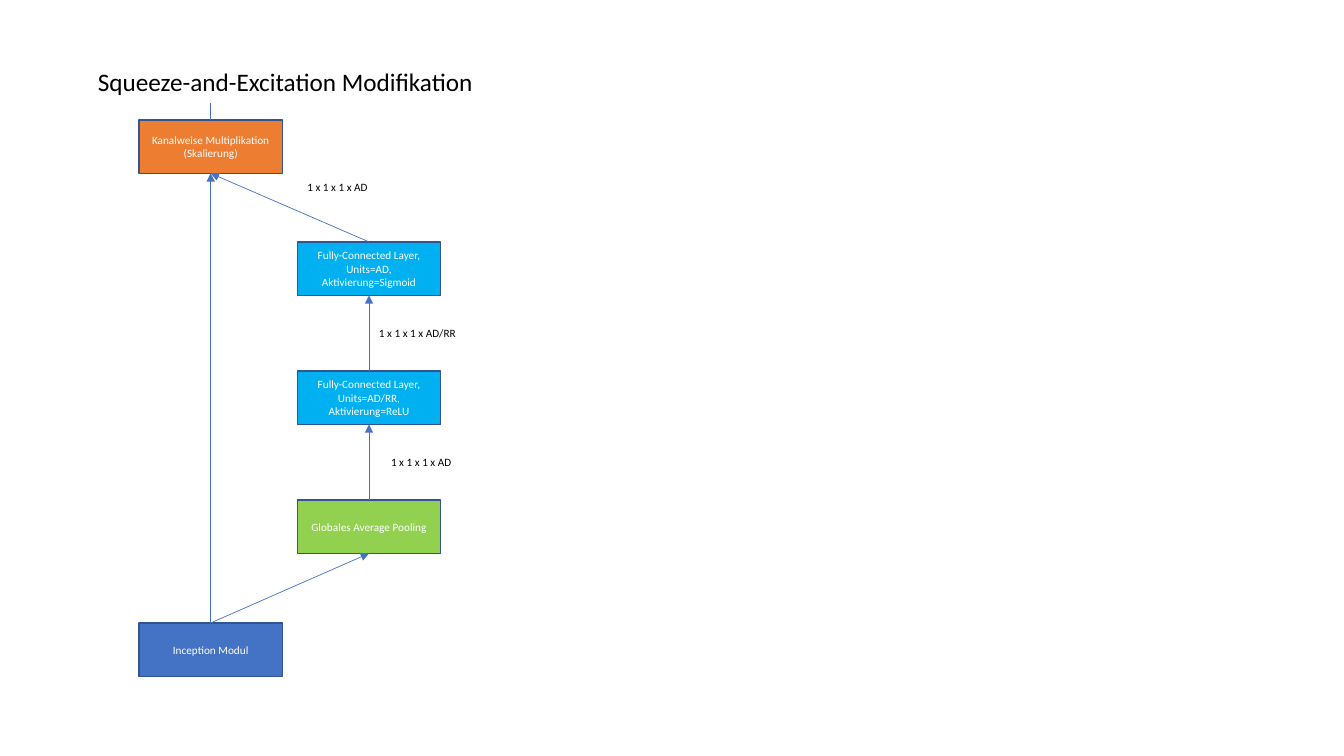
import pptx
import pptx.dml.color
import pptx.enum.shapes
import pptx.enum.text
import pptx.oxml.ns
import pptx.util
import lxml.etree

Inches = pptx.util.Inches
Pt = pptx.util.Pt

FONT = "Calibri"
COLORS = {
    "text": "000000",
    "block_text": "FFFFFF",
    "outline": "325491",
    "arrow": "4472C4",
    "inception": "4472C4",
    "pooling": "92D050",
    "dense": "00B0F0",
    "scaling": "ED7D31",
}
BLOCK_WIDTH, BLOCK_HEIGHT = 1.42, 0.53
MAIN_LEFT, BRANCH_LEFT = 1.38, 2.95
SCALING_TOP, INCEPTION_TOP = 1.19, 6.18
BRANCH_TOP, BRANCH_STEP = 2.4, 1.28
TOP_SITE, BOTTOM_SITE = 0, 2


def rgb(name):
    """Return the named palette colour."""
    return pptx.dml.color.RGBColor.from_string(COLORS[name])


def write_text(frame, lines, size, color, align):
    """Fill a text frame with one formatted paragraph per line."""
    frame.text = "\n".join(lines)
    for paragraph in frame.paragraphs:
        paragraph.alignment = align
        paragraph.font.name = FONT
        paragraph.font.size = Pt(size)
        paragraph.font.color.rgb = rgb(color)


def set_title(slide, text):
    """Move and format the title placeholder."""
    title = slide.shapes.title
    title.left, title.top = Inches(0.87), Inches(0.61)
    title.width, title.height = Inches(3.96), Inches(0.4)
    frame = title.text_frame
    write_text(frame, [text], 18, "text", pptx.enum.text.PP_ALIGN.LEFT)
    frame.word_wrap = False
    frame.auto_size = pptx.enum.text.MSO_AUTO_SIZE.NONE
    frame.vertical_anchor = pptx.enum.text.MSO_ANCHOR.MIDDLE


def add_block(slide, left, top, fill, *lines):
    """Add one network block with centred text."""
    block = slide.shapes.add_shape(
        pptx.enum.shapes.MSO_SHAPE.RECTANGLE,
        Inches(left), Inches(top), Inches(BLOCK_WIDTH), Inches(BLOCK_HEIGHT))
    block.shadow.inherit = False
    block.fill.solid()
    block.fill.fore_color.rgb = rgb(fill)
    block.line.color.rgb = rgb("outline")
    block.line.width = Pt(1)
    frame = block.text_frame
    frame.word_wrap = True
    frame.vertical_anchor = pptx.enum.text.MSO_ANCHOR.MIDDLE
    write_text(frame, lines, 8, "block_text", pptx.enum.text.PP_ALIGN.CENTER)
    return block


def add_line(slide, source, target=None, end=(0, 0)):
    """Run a line up from a block: an arrow to a target, or plain to a point."""
    line = slide.shapes.add_connector(
        pptx.enum.shapes.MSO_CONNECTOR.STRAIGHT,
        0, 0, Inches(end[0]), Inches(end[1]))
    line.begin_connect(source, TOP_SITE)
    line.line.color.rgb = rgb("arrow")
    line.line.width = Pt(0.5)
    qn = pptx.oxml.ns.qn
    if target is not None:
        line.end_connect(target, BOTTOM_SITE)
        outline = line.line._get_or_add_ln()
        lxml.etree.SubElement(outline, qn("a:tailEnd"), type="triangle")
    lxml.etree.SubElement(line._element.spPr, qn("a:effectLst"))


def add_dimension(slide, left, top, width, text):
    """Add a tensor dimension label."""
    label = slide.shapes.add_textbox(
        Inches(left), Inches(top), Inches(width), Inches(0.24))
    label.text_frame.word_wrap = True
    write_text(label.text_frame, [text], 8, "text",
               pptx.enum.text.PP_ALIGN.LEFT)


def main():
    """Build the squeeze-and-excitation diagram."""
    deck = pptx.Presentation()
    deck.slide_width, deck.slide_height = Inches(13.33), Inches(7.5)
    slide = deck.slides.add_slide(deck.slide_layouts[5])
    set_title(slide, "Squeeze-and-Excitation Modifikation")

    inception = add_block(slide, MAIN_LEFT, INCEPTION_TOP, "inception",
                          "Inception Modul")
    scaling = add_block(slide, MAIN_LEFT, SCALING_TOP, "scaling",
                        "Kanalweise Multiplikation (Skalierung)")
    branch_contents = [
        ("dense", "Fully-Connected Layer,", "Units=AD, Aktivierung=Sigmoid"),
        ("dense", "Fully-Connected Layer,", "Units=AD/RR,",
         "Aktivierung=ReLU"),
        ("pooling", "Globales Average Pooling"),
    ]
    excitation, squeeze, pooling = [
        add_block(slide, BRANCH_LEFT, BRANCH_TOP + row * BRANCH_STEP, *content)
        for row, content in enumerate(branch_contents)]

    for source, target in [(inception, pooling), (pooling, squeeze),
                           (squeeze, excitation), (excitation, scaling),
                           (inception, scaling)]:
        add_line(slide, source, target)
    add_line(slide, scaling, end=(MAIN_LEFT + BLOCK_WIDTH / 2, 1.02))

    add_dimension(slide, 3.78, 4.47, 1.61, "1 x 1 x 1 x AD")
    add_dimension(slide, 3.66, 3.19, 1.61, "1 x 1 x 1 x AD/RR")
    add_dimension(slide, 2.95, 1.74, 0.83, "1 x 1 x 1 x AD")
    deck.save("out.pptx")


main()
